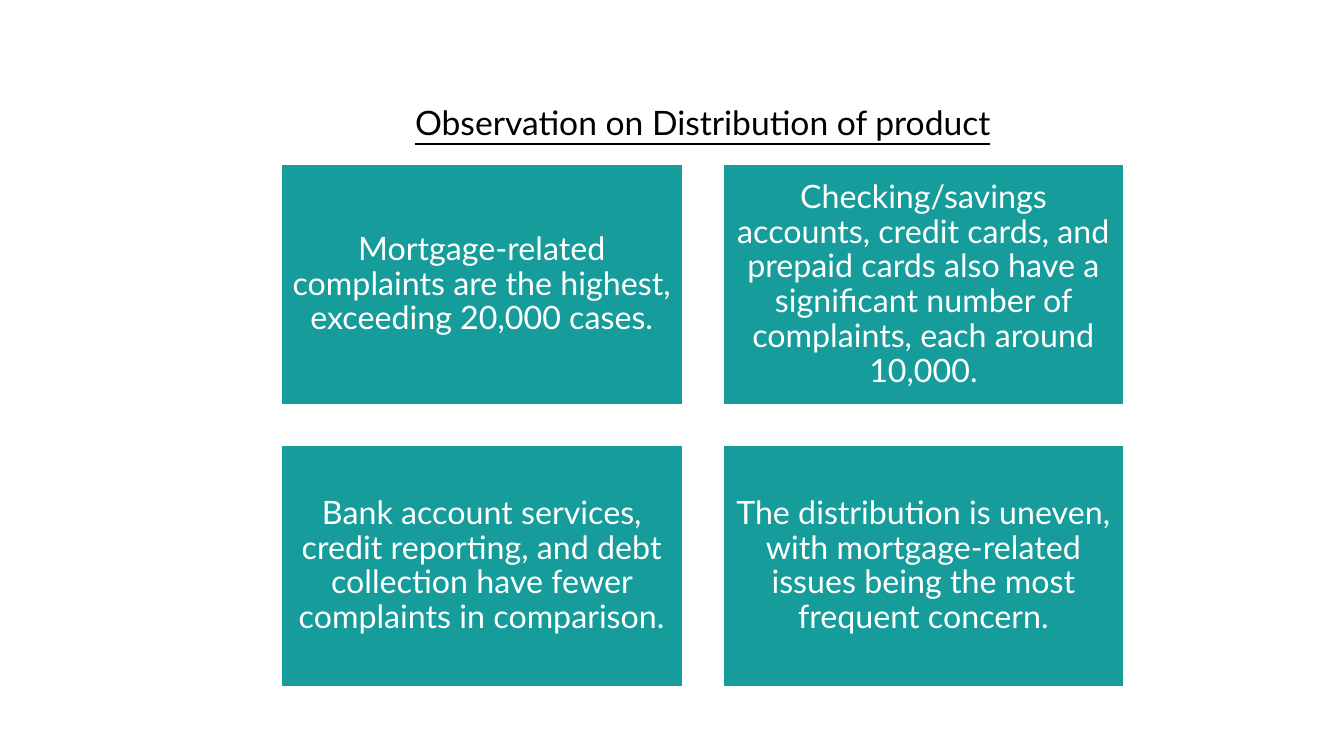
from pptx import Presentation
from pptx.dml.color import RGBColor
from pptx.enum.shapes import MSO_SHAPE
from pptx.enum.text import MSO_ANCHOR, MSO_AUTO_SIZE, PP_ALIGN
from pptx.util import Inches, Pt

RECTANGLE = MSO_SHAPE.RECTANGLE
MIDDLE, TOP = MSO_ANCHOR.MIDDLE, MSO_ANCHOR.TOP
CENTER = PP_ALIGN.CENTER
NO_AUTOFIT = MSO_AUTO_SIZE.NONE

FONT = "Lato"
COLORS = {"card": "169C9A", "white": "FFFFFF", "black": "000000"}
TITLE_ONLY_LAYOUT = 5

# Card grid, in inches
GRID_LEFT, GRID_TOP = 2.79, 1.63
CARD_WIDTH, CARD_HEIGHT = 3.98, 2.39
CARD_GAP = 0.4
COLUMNS = 2

OBSERVATIONS = [
    "Mortgage-related complaints are the highest, exceeding 20,000 cases.",
    "Checking/savings accounts, credit cards, and prepaid cards also have "
    "a significant number of complaints, each around 10,000.",
    "Bank account services, credit reporting, and debt collection have "
    "fewer complaints in comparison.",
    "The distribution is uneven, with mortgage-related issues being the "
    "most frequent concern.",
]


def color(name):
    return RGBColor.from_string(COLORS[name])


def write_text(shape, text, *, size, fill, anchor=MIDDLE, margin_x=0.1,
               margin_y=0.1, line_spacing=1.0, underline=False):
    frame = shape.text_frame
    frame.word_wrap = True
    frame.auto_size = NO_AUTOFIT
    frame.vertical_anchor = anchor
    frame.margin_left = frame.margin_right = Inches(margin_x)
    frame.margin_top = frame.margin_bottom = Inches(margin_y)
    paragraph = frame.paragraphs[0]
    paragraph.alignment = CENTER
    paragraph.line_spacing = line_spacing
    run = paragraph.add_run()
    run.text = text
    run.font.name = FONT
    run.font.size = Pt(size)
    run.font.underline = underline
    run.font.color.rgb = color(fill)


def add_title(slide, text):
    title = slide.shapes.title
    title.left, title.top = Inches(3.17), Inches(0.96)
    title.width, title.height = Inches(7.6), Inches(0.5)
    write_text(title, text, size=24, fill="black", anchor=TOP,
               margin_y=0.05, underline=True)


def add_card(slide, text, left, top):
    card = slide.shapes.add_shape(RECTANGLE, Inches(left), Inches(top),
                                  Inches(CARD_WIDTH), Inches(CARD_HEIGHT))
    card.shadow.inherit = False
    card.fill.solid()
    card.fill.fore_color.rgb = color("card")
    card.line.color.rgb = color("white")
    card.line.width = Pt(1)
    write_text(card, text, size=23, fill="white", line_spacing=0.9)


def main():
    presentation = Presentation()
    presentation.slide_width = Inches(13.33)
    presentation.slide_height = Inches(7.5)
    layout = presentation.slide_layouts[TITLE_ONLY_LAYOUT]
    slide = presentation.slides.add_slide(layout)

    # Heading
    add_title(slide, "Observation on Distribution of product")

    # Two-by-two grid of observations
    for index, observation in enumerate(OBSERVATIONS):
        row, column = divmod(index, COLUMNS)
        add_card(slide, observation,
                 GRID_LEFT + column * (CARD_WIDTH + CARD_GAP),
                 GRID_TOP + row * (CARD_HEIGHT + CARD_GAP))

    presentation.save("out.pptx")


if __name__ == "__main__":
    main()
